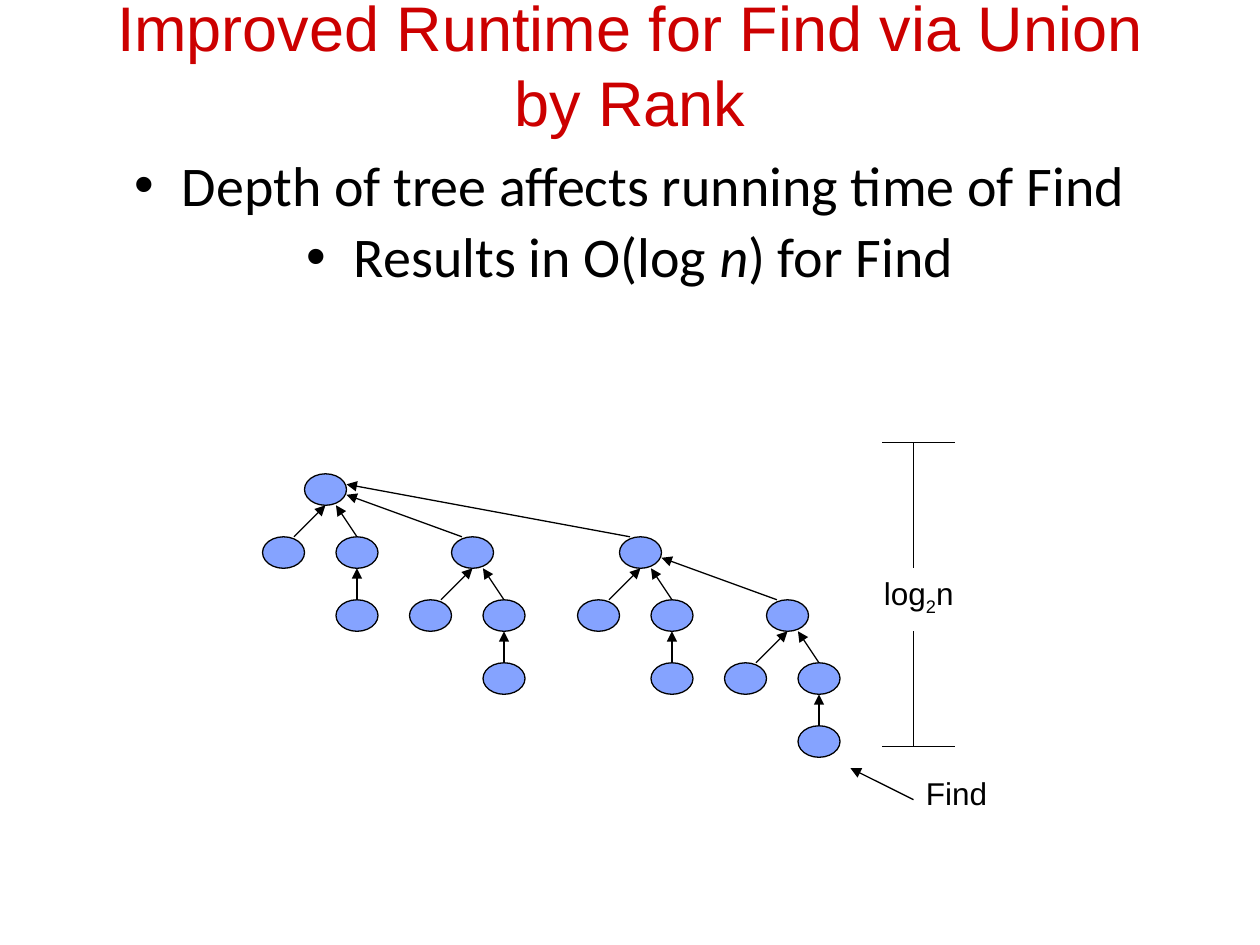
from lxml.etree import SubElement
from pptx import Presentation
from pptx.dml.color import RGBColor
from pptx.enum.shapes import MSO_CONNECTOR, MSO_SHAPE
from pptx.enum.text import MSO_ANCHOR, MSO_AUTO_SIZE, PP_ALIGN
from pptx.oxml.ns import qn
from pptx.util import Pt

COLORS = {"title": "CC0000", "node": "85A3FF", "ink": "000000"}
WIDE, HIGH, STEP = 24, 18, 36
ROOTS = [(174, 270.75), (258, 306.75), (354, 306.75), (438, 342.75)]
LINKS = [(1, 0, 12), (3, 2, 12), (2, 0, 6)]


def color(name):
    return RGBColor.from_string(COLORS[name])


def style(run, size, face, tone="ink"):
    run.font.size = Pt(size)
    run.font.name = face
    run.font.color.rgb = color(tone)


def add_line(slide, start, end, arrow=True):
    line = slide.shapes.add_connector(
        MSO_CONNECTOR.STRAIGHT, *map(Pt, start + end))
    line.line.color.rgb = color("ink")
    line.line.width = Pt(0.75)
    props = line._element.spPr
    if arrow:
        SubElement(props.find(qn("a:ln")), qn("a:tailEnd"), type="triangle")
    SubElement(props, qn("a:effectLst"))


def add_node(slide, left, top):
    node = slide.shapes.add_shape(
        MSO_SHAPE.OVAL, Pt(left), Pt(top), Pt(WIDE), Pt(HIGH))
    node.shadow.inherit = False
    node.fill.solid()
    node.fill.fore_color.rgb = color("node")
    node.line.color.rgb = color("ink")
    node.line.width = Pt(0.75)


def add_tree(slide, left, top):
    for shift, level in [(0, 0), (-24, 1), (18, 1), (18, 2)]:
        add_node(slide, left + shift, top + level * STEP)
    kid = top + STEP
    add_line(slide, (left - 6, kid), (left + 12, top + HIGH))
    add_line(slide, (left + 30, kid), (left + 18, top + HIGH))
    add_line(slide, (left + 30, kid + STEP), (left + 30, kid + HIGH))


def add_links(slide):
    for child, parent, drop in LINKS:
        left, top = ROOTS[child]
        x, y = ROOTS[parent]
        add_line(slide, (left + 6, top), (x + WIDE, y + drop))


def add_text(slide, left, top, width, height):
    box = slide.shapes.add_textbox(*map(Pt, (left, top, width, height)))
    box.text_frame.word_wrap = True
    return box.text_frame


def add_label(slide, place, parts):
    para = add_text(slide, *place).paragraphs[0]
    for text, base in parts:
        run = para.add_run()
        run.text = text
        style(run, 18, "Arial")
        if base:
            run.font._element.set("baseline", str(base))


def add_scale(slide):
    for y in (252.75, 426.75):
        add_line(slide, (504, y), (546, y), False)
    for top, end in [(252.75, 324.75), (360.75, 426.75)]:
        add_line(slide, (522, top), (522, end), False)
    add_label(slide, (498, 324.75, 60, 31),
              [("log", 0), ("2", -25000), ("n", 0)])


def add_title(slide):
    title = slide.shapes.title
    title.left, title.top, title.width, title.height = map(
        Pt, (36, 18, 648, 36.75))
    frame = title.text_frame
    frame.text = "Improved Runtime for Find via Union by Rank"
    frame.word_wrap = True
    frame.auto_size = MSO_AUTO_SIZE.NONE
    frame.vertical_anchor = MSO_ANCHOR.MIDDLE
    para = frame.paragraphs[0]
    para.alignment = PP_ALIGN.CENTER
    style(para.runs[0], 36, "Arial", "title")


def add_bullets(slide, items):
    frame = add_text(slide, 36, 86.5, 648, 126.75)
    for index, parts in enumerate(items):
        para = frame.add_paragraph() if index else frame.paragraphs[0]
        para.alignment = PP_ALIGN.CENTER
        para.line_spacing = 0.9
        para.space_before = Pt(6.4)
        props = para._p.get_or_add_pPr()
        props.set("marL", str(Pt(27)))
        props.set("indent", str(Pt(-27)))
        SubElement(props, qn("a:buFont"), typeface="Arial")
        SubElement(props, qn("a:buChar"), char="•")
        for text, slant in parts:
            run = para.add_run()
            run.text = text
            style(run, 32, "Calibri")
            run.font.italic = slant


def main():
    deck = Presentation()
    deck.slide_width, deck.slide_height = Pt(720), Pt(540)
    slide = deck.slides.add_slide(deck.slide_layouts[5])
    add_title(slide)
    for root in ROOTS:
        add_tree(slide, *root)
    add_links(slide)
    add_label(slide, (522, 439, 61, 36), [("Find", 0)])
    add_line(slide, (522, 457), (486, 439))
    add_scale(slide)
    add_bullets(slide, [
        [("Depth of tree affects running time of Find", False)],
        [("Results in O(log ", False), ("n", True), (") for Find", False)],
    ])
    deck.save("out.pptx")


if __name__ == "__main__":
    main()
